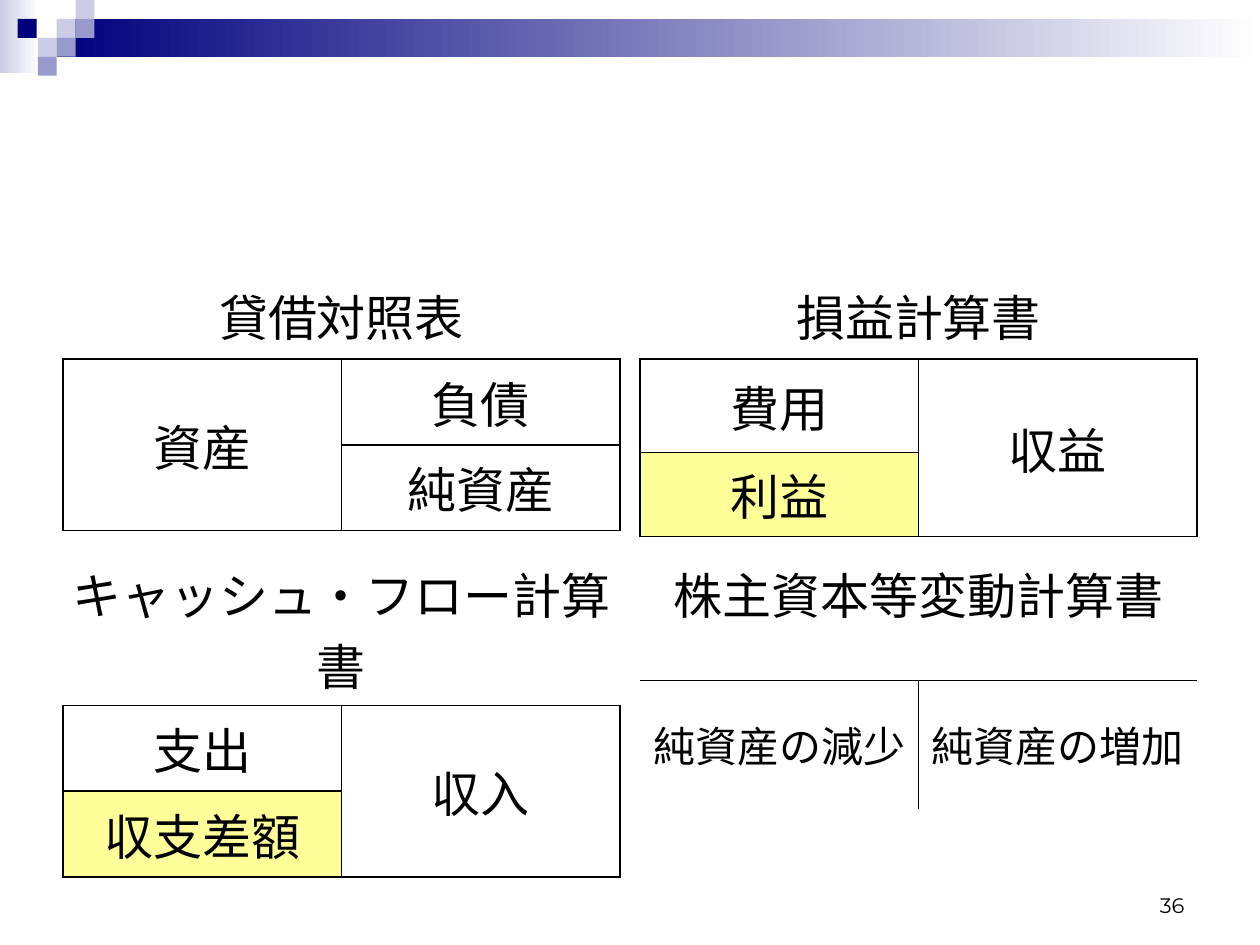
from dataclasses import dataclass

from lxml import etree
from pptx import Presentation
from pptx import util as u
from pptx.dml.color import RGBColor
from pptx.enum import shapes, text
from pptx.oxml import ns


@dataclass(frozen=True)
class Theme:
    ink: str = "000000"
    paper: str = "FFFFFF"
    navy: str = "00007D"
    lilac: str = "CCCCE6"
    violet: str = "9999CC"
    highlight: str = "FFFF99"
    font: str = "Arial"
    number_font: str = "Montserrat"
    body: int = 28
    small: int = 24
    number: int = 12
    rule: int = 1


THEME = Theme()


def write(frame, words, size=THEME.body, font=THEME.font, color=THEME.ink,
          align=text.PP_ALIGN.CENTER):
    para = frame.paragraphs[0]
    para.alignment = align
    span = para.add_run()
    span.text = words
    span.font.size = u.Pt(size)
    span.font.name = font
    span.font.color.rgb = RGBColor.from_string(color)


class SlideBuilder:
    """Draws styled elements on one slide."""

    def __init__(self, page, theme):
        self.page = page
        self.theme = theme

    def block(self, left, top, width, height, color, fade_to=None):
        box = self.page.shapes.add_shape(
            shapes.MSO_SHAPE.RECTANGLE, *map(u.Inches, (left, top, width, height)))
        box.shadow.inherit = False
        box.line.fill.background()
        if fade_to is None:
            box.fill.solid()
            box.fill.fore_color.rgb = RGBColor.from_string(color)
            return
        box.fill.gradient()
        box.fill.gradient_angle = 0
        for stop, shade, position in zip(box.fill.gradient_stops, (color, fade_to), (0, 1)):
            stop.color.rgb = RGBColor.from_string(shade)
            stop.position = position

    def label(self, left, top, width, height, words, **style):
        box = self.page.shapes.add_textbox(*map(u.Inches, (left, top, width, height)))
        box.text_frame.word_wrap = True
        box.text_frame.vertical_anchor = text.MSO_ANCHOR.BOTTOM
        write(box.text_frame, words, **style)

    def borders(self, cell, sides):
        properties = cell._tc.get_or_add_tcPr()
        for side in "LRTB":
            line = etree.SubElement(properties, ns.qn(f"a:ln{side}"),
                                    w=str(u.Pt(self.theme.rule)))
            if side in sides:
                fill = etree.SubElement(line, ns.qn("a:solidFill"))
                etree.SubElement(fill, ns.qn("a:srgbClr"), val=self.theme.ink)
            else:
                etree.SubElement(line, ns.qn("a:noFill"))

    def statement(self, left, top, title, entries, heights, merged=None,
                  highlighted=None, sides=("LRTB", "LRTB"), size=THEME.body):
        width = 4.42
        frame = self.page.shapes.add_table(
            len(heights), 2, *map(u.Inches, (left, top, width, sum(heights))))
        table = frame.table
        table.first_row = table.horz_banding = False
        for column in table.columns:
            column.width = u.Inches(width / 2)
        for row, height in zip(table.rows, heights):
            row.height = u.Inches(height)

        for row in range(len(heights)):
            for column in range(2):
                cell = table.cell(row, column)
                self.borders(cell, sides[column] if row else "B")
                if (row, column) == highlighted:
                    cell.fill.solid()
                    cell.fill.fore_color.rgb = RGBColor.from_string(self.theme.highlight)
                else:
                    cell.fill.background()

        heading = table.cell(0, 0)
        heading.merge(table.cell(0, 1))
        heading.margin_left = heading.margin_right = u.Inches(0.05)
        write(heading.text_frame, title)
        if merged is not None:
            table.cell(1, merged).merge(table.cell(2, merged))
        for position, words in entries.items():
            cell = table.cell(*position)
            cell.vertical_anchor = text.MSO_ANCHOR.MIDDLE
            write(cell.text_frame, words, size=size)


def main():
    deck = Presentation()
    deck.slide_width, deck.slide_height = u.Inches(10), u.Inches(7.5)
    page = deck.slides.add_slide(deck.slide_layouts[6])
    slide = SlideBuilder(page, THEME)

    slide.block(0, 0, 0.31, 0.58, THEME.lilac, fade_to=THEME.paper)
    slide.block(0.45, 0.15, 9.55, 0.3, THEME.navy, fade_to=THEME.paper)
    tile = 0.15
    for left, top, color in (
        (0.45, 0.15, THEME.lilac), (0.6, 0, THEME.lilac), (0.6, 0.15, THEME.violet),
        (0.3, 0.3, THEME.lilac), (0.14, 0.15, THEME.navy),
        (0.45, 0.3, THEME.violet), (0.3, 0.45, THEME.violet),
    ):
        slide.block(left, top, tile, tile, color)

    slide.label(7.17, 6.83, 2.33, 0.5, "36", size=THEME.number,
                font=THEME.number_font, align=text.PP_ALIGN.RIGHT)

    left, right, upper, lower = 0.5, 5.08, 2.17, 4.38
    line = 0.68
    slide.statement(left, upper, "貸借対照表",
                    {(1, 0): "資産", (1, 1): "負債", (2, 1): "純資産"},
                    (line, line, line), merged=0)
    slide.statement(right, upper, "損益計算書",
                    {(1, 0): "費用", (1, 1): "収益", (2, 0): "利益"},
                    (line, 0.74, 0.67), merged=1, highlighted=(2, 0))
    slide.statement(left, lower, "キャッシュ・フロー計算書",
                    {(1, 0): "支出", (1, 1): "収入", (2, 0): "収支差額"},
                    (1.22, line, line), merged=1, highlighted=(2, 0))
    slide.statement(right, lower, "株主資本等変動計算書",
                    {(1, 0): "純資産の減少", (1, 1): "純資産の増加"},
                    (1.02, 1.02), sides=("TR", "TL"), size=THEME.small)

    deck.save("out.pptx")


if __name__ == "__main__":
    main()
